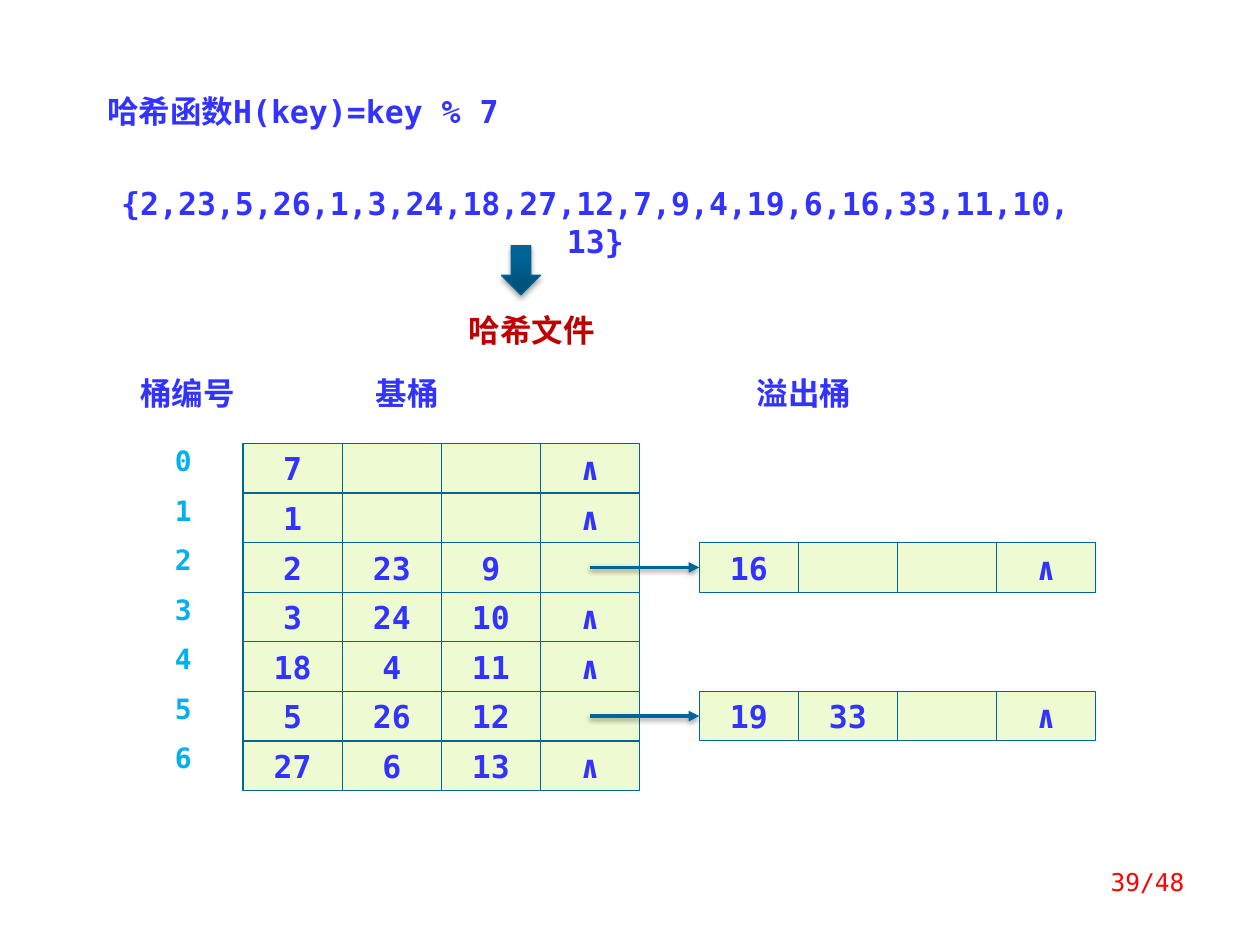
from lxml import etree
from pptx import Presentation
from pptx import util as u
from pptx.dml.color import RGBColor
from pptx.enum import shapes, text
from pptx.oxml import ns

FONT = "DejaVu Sans Mono"
COLORS = {
    "text": "3333FF",
    "index": "00B0F0",
    "file": "C00000",
    "page": "FF0000",
    "cell": "EDFAD2",
    "border": "006699",
    "arrow_dark": "004C72",
    "arrow_light": "006395",
    "shadow": "000000",
}

# Bucket grid, in inches
CELL_W = 2.36 / 3
CELL_H = CELL_W / 2
TOP = 3.52
BASE_LEFT = 1.93
OVERFLOW_LEFT = 5.55
INDEX_LEFT = 1.22

# Each bucket holds three keys and a link; "" in the link means it points on
BASE_BUCKETS = [
    ("7", "", "", "∧"),
    ("1", "", "", "∧"),
    ("2", "23", "9", ""),
    ("3", "24", "10", "∧"),
    ("18", "4", "11", "∧"),
    ("5", "26", "12", ""),
    ("27", "6", "13", "∧"),
]
OVERFLOW_BUCKETS = {2: ("16", "", "", "∧"), 5: ("19", "33", "", "∧")}


def rgb(name):
    return RGBColor.from_string(COLORS[name])


def write(frame, words, color="text", size=18, bold=True,
          align=text.PP_ALIGN.CENTER):
    paragraph = frame.paragraphs[0]
    paragraph.alignment = align
    run = paragraph.add_run()
    run.text = words
    run.font.name = FONT
    run.font.size = u.Pt(size)
    run.font.bold = bold
    run.font.color.rgb = rgb(color)


def place(shape, left, top, width, height):
    shape.left, shape.top = u.Inches(left), u.Inches(top)
    shape.width, shape.height = u.Inches(width), u.Inches(height)


def add_label(slide, words, left, top, width, height, inset=0.0, **style):
    label = slide.shapes.add_textbox(0, 0, 0, 0)
    place(label, left, top, width, height)
    frame = label.text_frame
    frame.word_wrap = True
    if not inset:
        frame.margin_left = frame.margin_right = 0
        frame.margin_top = frame.margin_bottom = 0
    write(frame, words, **style)


def add_title(slide, words):
    title = slide.shapes.title
    place(title, 0.75, 0.68, 3.39, 0.4)
    frame = title.text_frame
    frame.word_wrap = True
    frame.auto_size = text.MSO_AUTO_SIZE.NONE
    frame.vertical_anchor = text.MSO_ANCHOR.TOP
    write(frame, words, align=text.PP_ALIGN.LEFT)


def add_bucket(slide, values, left, row):
    cells = []
    for column, value in enumerate(values):
        cell = slide.shapes.add_shape(shapes.MSO_SHAPE.RECTANGLE, 0, 0, 0, 0)
        place(cell, left + column * CELL_W, TOP + row * CELL_H, CELL_W, CELL_H)
        cell.shadow.inherit = False
        cell.fill.solid()
        cell.fill.fore_color.rgb = rgb("cell")
        cell.line.color.rgb = rgb("border")
        cell.line.width = u.Pt(0.75)
        if value:
            cell.text_frame.word_wrap = False
            cell.text_frame.vertical_anchor = text.MSO_ANCHOR.MIDDLE
            write(cell.text_frame, value)
        cells.append(cell)
    return cells


def add_shadow(effects, blur, distance, opacity):
    shadow = etree.SubElement(
        effects, ns.qn("a:outerShdw"), blurRad=str(u.Pt(blur)),
        dist=str(u.Pt(distance)), dir="5400000", rotWithShape="0")
    color = etree.SubElement(shadow, ns.qn("a:srgbClr"), val=COLORS["shadow"])
    etree.SubElement(color, ns.qn("a:alpha"), val=str(opacity * 1000))


def add_link(slide, row, overflow_cell):
    middle = u.Inches(TOP + (row + 0.5) * CELL_H)
    link = slide.shapes.add_connector(
        shapes.MSO_CONNECTOR.STRAIGHT,
        u.Inches(BASE_LEFT + 3.5 * CELL_W), middle,
        u.Inches(OVERFLOW_LEFT), middle)
    link.end_connect(overflow_cell, 1)
    link.line.color.rgb = rgb("border")
    link.line.width = u.Pt(2)
    properties = link._element.spPr
    etree.SubElement(properties.find(ns.qn("a:ln")), ns.qn("a:tailEnd"),
                     type="triangle")
    effects = etree.SubElement(properties, ns.qn("a:effectLst"))
    add_shadow(effects, 3.1, 1.6, 38)


def add_down_arrow(slide):
    arrow = slide.shapes.add_shape(shapes.MSO_SHAPE.DOWN_ARROW, 0, 0, 0, 0)
    place(arrow, 3.98, 1.95, 0.31, 0.39)
    arrow.fill.gradient()
    arrow.fill.gradient_angle = 90
    dark, light = arrow.fill.gradient_stops
    dark.color.rgb = rgb("arrow_dark")
    light.color.rgb = rgb("arrow_light")
    light.position = 0.8
    arrow.line.color.rgb = rgb("arrow_light")
    arrow.line.width = u.Pt(0.75)
    arrow.shadow.inherit = False
    add_shadow(arrow._element.spPr.find(ns.qn("a:effectLst")), 3.1, 1.8, 35)


def main():
    deck = Presentation()
    deck.slide_width, deck.slide_height = u.Inches(10), u.Inches(7.5)
    slide = deck.slides.add_slide(deck.slide_layouts[5])

    # Hash function, keys and resulting file
    add_title(slide, "哈希函数H(key)=key % 7")
    add_label(slide, "{2,23,5,26,1,3,24,18,27,12,7,9,4,19,6,16,33,11,10,13}",
              0.86, 1.41, 7.73, 0.4, inset=0.1)
    add_down_arrow(slide)
    add_label(slide, "哈希文件", 3.36, 2.42, 1.72, 0.4, inset=0.1, color="file")

    # Column headings
    for heading, left in (("桶编号", 0.98), ("基桶", 2.72), ("溢出桶", 5.87)):
        add_label(slide, heading, left, 2.97, 1.02, 0.3)

    # Base buckets with their numbers
    for row, values in enumerate(BASE_BUCKETS):
        add_label(slide, str(row), INDEX_LEFT, TOP + row * CELL_H, 0.47, 0.27,
                  color="index", size=16)
        add_bucket(slide, values, BASE_LEFT, row)

    # Overflow buckets and the links to them
    for row, values in OVERFLOW_BUCKETS.items():
        cells = add_bucket(slide, values, OVERFLOW_LEFT, row)
        add_link(slide, row, cells[0])

    # Page number
    add_label(slide, "39/48", 7.17, 6.83, 2.33, 0.5, inset=0.1, color="page",
              size=14, bold=False, align=text.PP_ALIGN.RIGHT)

    deck.save("out.pptx")


if __name__ == "__main__":
    main()
